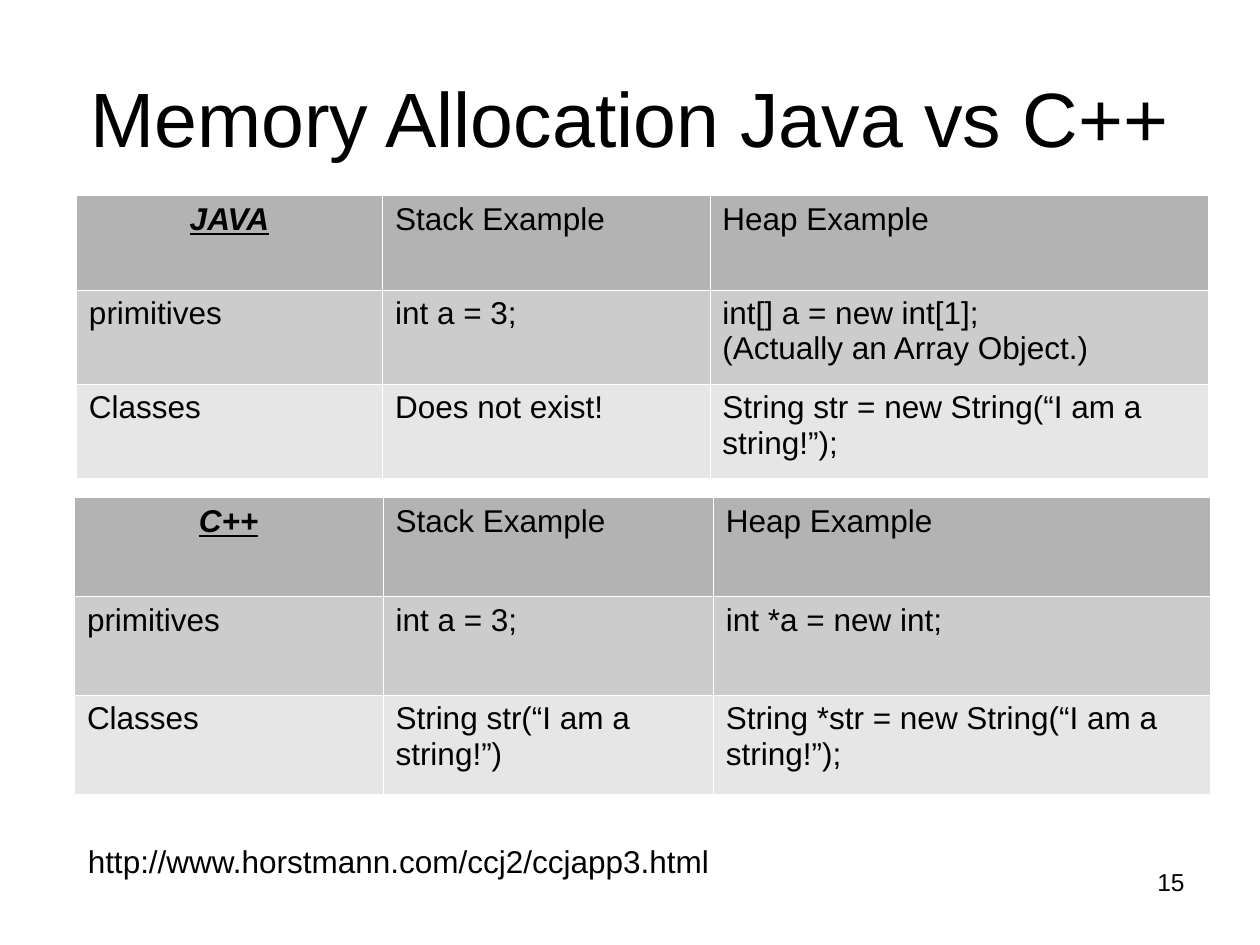
import pptx
import pptx.dml.color
import pptx.enum.text
import pptx.oxml
import pptx.oxml.ns
import pptx.util

Cm = pptx.util.Cm
ALIGN = pptx.enum.text.PP_ALIGN
ANCHOR = pptx.enum.text.MSO_ANCHOR
ROW_FILLS = ["B3B3B3", "CCCCCC", "E6E6E6"]
BORDER_WIDTH = pptx.util.Pt(0.06)


def colour(value):
    return pptx.dml.color.RGBColor.from_string(value)


def format_text(frame, size, align=ALIGN.LEFT, emphasis=False):
    for para in frame.paragraphs:
        para.alignment = align
        for span in para.runs:
            span.font.name = "Arial"
            span.font.size = pptx.util.Pt(size)
            span.font.color.rgb = colour("000000")
            span.font.bold = emphasis
            span.font.italic = emphasis
            span.font.underline = emphasis


def set_title(page, text):
    title = page.shapes.title
    title.left, title.top = Cm(1.27), Cm(0.76)
    title.width, title.height = Cm(22.86), Cm(3.18)
    frame = title.text_frame
    frame.text = text
    frame.vertical_anchor = ANCHOR.MIDDLE
    frame.auto_size = pptx.enum.text.MSO_AUTO_SIZE.NONE
    format_text(frame, 44, ALIGN.CENTER)


def add_text(page, text, left, top, width, height, size, align=ALIGN.LEFT):
    box = page.shapes.add_textbox(Cm(left), Cm(top), Cm(width), Cm(height))
    frame = box.text_frame
    frame.word_wrap = True
    frame.text = text
    format_text(frame, size, align)


def set_borders(cell, value):
    properties = cell._tc.get_or_add_tcPr()
    for index, side in enumerate(["lnL", "lnR", "lnT", "lnB"]):
        line = pptx.oxml.parse_xml(
            f'<a:{side} {pptx.oxml.ns.nsdecls("a")} w="{BORDER_WIDTH}">'
            f'<a:solidFill><a:srgbClr val="{value}"/></a:solidFill></a:{side}>'
        )
        properties.insert(index, line)


def add_comparison(page, rows, left, top, widths, row_height):
    frame = page.shapes.add_table(
        len(rows), len(widths), Cm(left), Cm(top),
        Cm(sum(widths)), Cm(row_height * len(rows)),
    )
    table = frame.table
    for column, width in zip(table.columns, widths):
        column.width = Cm(width)
    for row_index, texts in enumerate(rows):
        table.rows[row_index].height = Cm(row_height)
        for column_index, text in enumerate(texts):
            cell = table.cell(row_index, column_index)
            cell.text_frame.text = text
            cell.fill.solid()
            cell.fill.fore_color.rgb = colour(ROW_FILLS[row_index])
            set_borders(cell, "FFFFFF")
            is_language = row_index == 0 and column_index == 0
            align = ALIGN.CENTER if is_language else ALIGN.LEFT
            format_text(cell.text_frame, 18, align, is_language)


def main():
    deck = pptx.Presentation()
    deck.slide_width, deck.slide_height = Cm(25.4), Cm(19.05)
    page = deck.slides.add_slide(deck.slide_layouts[5])
    add_text(page, "15", 18.21, 17.35, 5.92, 1.32, 14, ALIGN.RIGHT)
    set_title(page, "Memory Allocation Java vs C++")
    examples = ["Stack Example", "Heap Example"]
    java_rows = [
        ["JAVA", *examples],
        ["primitives", "int a = 3;",
         "int[] a = new int[1];\n(Actually an Array Object.)"],
        ["Classes", "Does not exist!",
         "String str = new String(“I am a string!”);"],
    ]
    cpp_rows = [
        ["C++", *examples],
        ["primitives", "int a = 3;", "int *a = new int;"],
        ["Classes", "String str(“I am a string!”)",
         "String *str = new String(“I am a string!”);"],
    ]
    add_comparison(page, java_rows, 1.54, 3.94, [6.17, 6.6, 10.05], 1.9)
    add_comparison(page, cpp_rows, 1.5, 10.03, [6.22, 6.66, 10.01], 1.99)
    add_text(page, "http://www.horstmann.com/ccj2/ccjapp3.html",
             1.52, 16.84, 15.54, 1.19, 18)
    deck.save("out.pptx")


if __name__ == "__main__":
    main()
